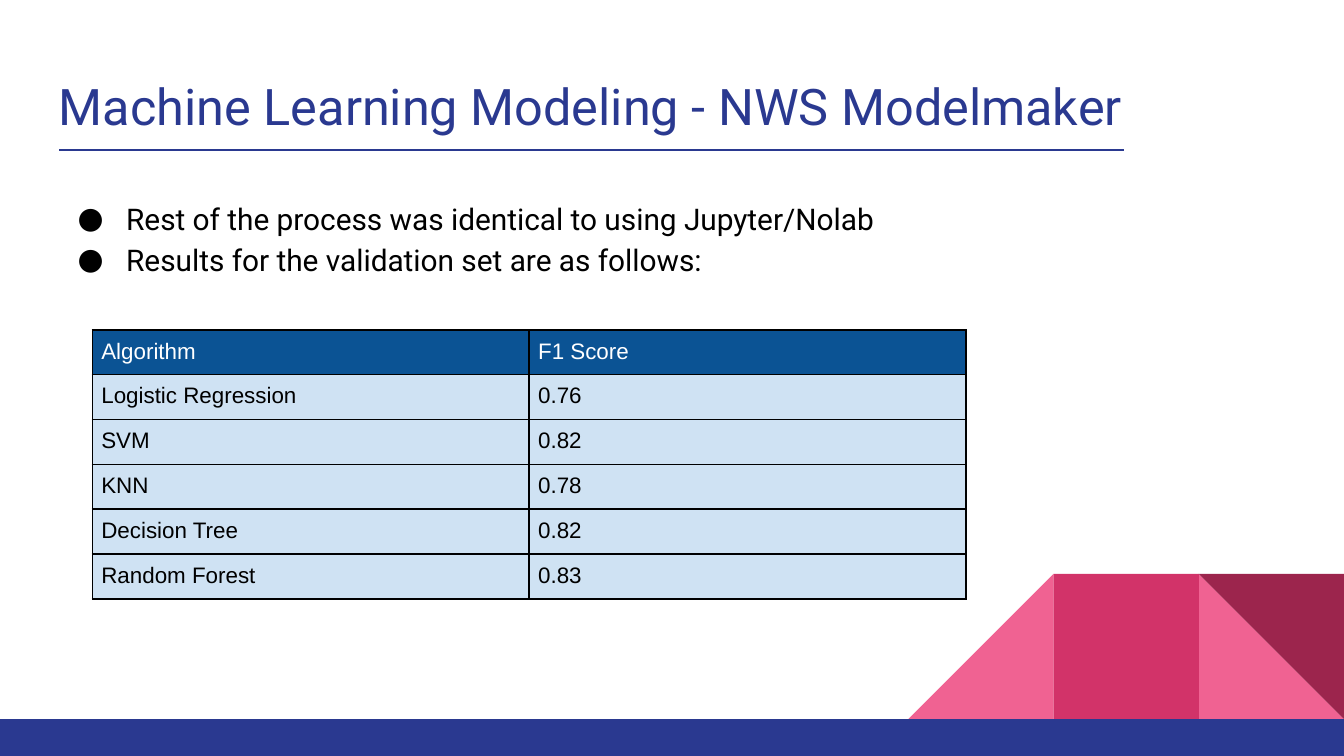
from lxml import etree
from pptx import Presentation
from pptx import util as u
from pptx.dml.color import RGBColor
from pptx.enum import shapes, text
from pptx.oxml import ns

NAVY, PINK, ROSE, WINE = "2A3990", "F06292", "D23369", "9C254D"
HEADER, CELL, BLACK, WHITE = "0B5394", "CFE2F3", "000000", "FFFFFF"
SIDES = ("left", "top", "right", "bottom")


def color(value):
    return RGBColor.from_string(value)


def assign(target, values):
    for name, value in values.items():
        setattr(target, name, value)


def child(parent, tag, **attributes):
    return etree.SubElement(parent, ns.qn(tag), attributes)


class SlideBuilder:
    font = "Roboto"
    table_font = "Arial"

    def __init__(self, slide):
        self.slide = slide

    def add_words(self, para, words, size, ink, font, **layout):
        span = para.add_run()
        span.text = words
        assign(span.font, {"name": font, "size": u.Pt(size)})
        span.font.color.rgb = color(ink)
        assign(para, layout)

    def block(self, kind, left, top, width, height, fill, rotation=0):
        shape = self.slide.shapes.add_shape(
            kind, u.Pt(left), u.Pt(top), u.Pt(width), u.Pt(height))
        shape.shadow.inherit = False
        shape.fill.solid()
        shape.fill.fore_color.rgb = color(fill)
        shape.line.fill.background()
        shape.rotation = rotation

    def textbox(self, left, top, width, height, lines, size, ink,
                anchor=text.MSO_ANCHOR.TOP, bullet=None, **layout):
        box = self.slide.shapes.add_textbox(
            u.Pt(left), u.Pt(top), u.Pt(width), u.Pt(height))
        frame = box.text_frame
        assign(frame, {"word_wrap": True, "vertical_anchor": anchor})
        assign(frame, {f"margin_{side}": u.Pt(7.2) for side in SIDES})
        for index, words in enumerate(lines):
            para = frame.paragraphs[0] if index == 0 else frame.add_paragraph()
            if bullet:
                self.bullet(para, bullet, ink)
            self.add_words(para, words, size, ink, self.font, **layout)

    def bullet(self, para, symbol, ink):
        properties = para._p.get_or_add_pPr()
        properties.set("marL", str(u.Pt(36)))
        properties.set("indent", str(u.Pt(-26)))
        child(child(properties, "a:buClr"), "a:srgbClr", val=ink)
        child(properties, "a:buFont", typeface=self.font)
        child(properties, "a:buChar", char=symbol)

    def table(self, left, top, column_width, row_height, rows):
        columns = len(rows[0])
        table = self.slide.shapes.add_table(
            len(rows), columns, u.Pt(left), u.Pt(top),
            u.Pt(column_width * columns), u.Pt(row_height * len(rows))).table
        for r, row in enumerate(rows):
            for c, words in enumerate(row):
                fill, ink = (CELL, BLACK) if r else (HEADER, WHITE)
                self.cell(table.cell(r, c), words, fill, ink)

    def cell(self, cell, words, fill, ink):
        assign(cell, {f"margin_{side}": u.Pt(4.8) for side in SIDES})
        self.add_words(cell.text_frame.paragraphs[0], words, 12, ink,
                       self.table_font, alignment=text.PP_ALIGN.JUSTIFY)
        properties = cell._tc.get_or_add_tcPr()
        for tag in ("a:lnL", "a:lnR", "a:lnT", "a:lnB"):
            border = child(properties, tag, w=str(u.Pt(1)))
            child(child(border, "a:solidFill"), "a:srgbClr", val=BLACK)
        cell.fill.solid()
        cell.fill.fore_color.rgb = color(fill)

    def rule(self, left, right, height, ink, width):
        line = self.slide.shapes.add_connector(
            shapes.MSO_CONNECTOR.STRAIGHT,
            u.Pt(left), u.Pt(height), u.Pt(right), u.Pt(height))
        line.line.color.rgb = color(ink)
        line.line.width = u.Pt(width)
        child(line._element.spPr, "a:effectLst")


def main():
    deck = Presentation()
    deck.slide_width, deck.slide_height = u.Pt(720), u.Pt(405)
    page = SlideBuilder(deck.slides.add_slide(deck.slide_layouts[6]))

    triangle = shapes.MSO_SHAPE.RIGHT_TRIANGLE
    rectangle = shapes.MSO_SHAPE.RECTANGLE
    side, floor = 77.8, 385.2
    for kind, place, fill, rotation in (
            (triangle, 1, PINK, 0), (triangle, 3, PINK, 270),
            (rectangle, 2, ROSE, 0), (triangle, 1, WINE, 180)):
        page.block(kind, 720 - place * side, floor - side, side, side,
                   fill, rotation)
    page.block(rectangle, 0, floor, 720, 405 - floor, NAVY)

    page.textbox(24.5, 32.4, 671, 47.5,
                 ["Machine Learning Modeling - NWS Modelmaker"], 27, NAVY,
                 anchor=text.MSO_ANCHOR.BOTTOM)
    page.textbox(24.5, 97.2, 671, 262.8,
                 ["Rest of the process was identical to using Jupyter/Nolab",
                  "Results for the validation set are as follows:"],
                 16, BLACK, bullet="●", line_spacing=1.15)
    page.table(49.5, 176.7, 234, 23.4, [
        ("Algorithm", "F1 Score"),
        ("Logistic Regression", "0.76"),
        ("SVM", "0.82"),
        ("KNN", "0.78"),
        ("Decision Tree", "0.82"),
        ("Random Forest", "0.83")])
    page.rule(31.7, 602, 80.4, NAVY, 0.75)
    deck.save("out.pptx")


if __name__ == "__main__":
    main()
